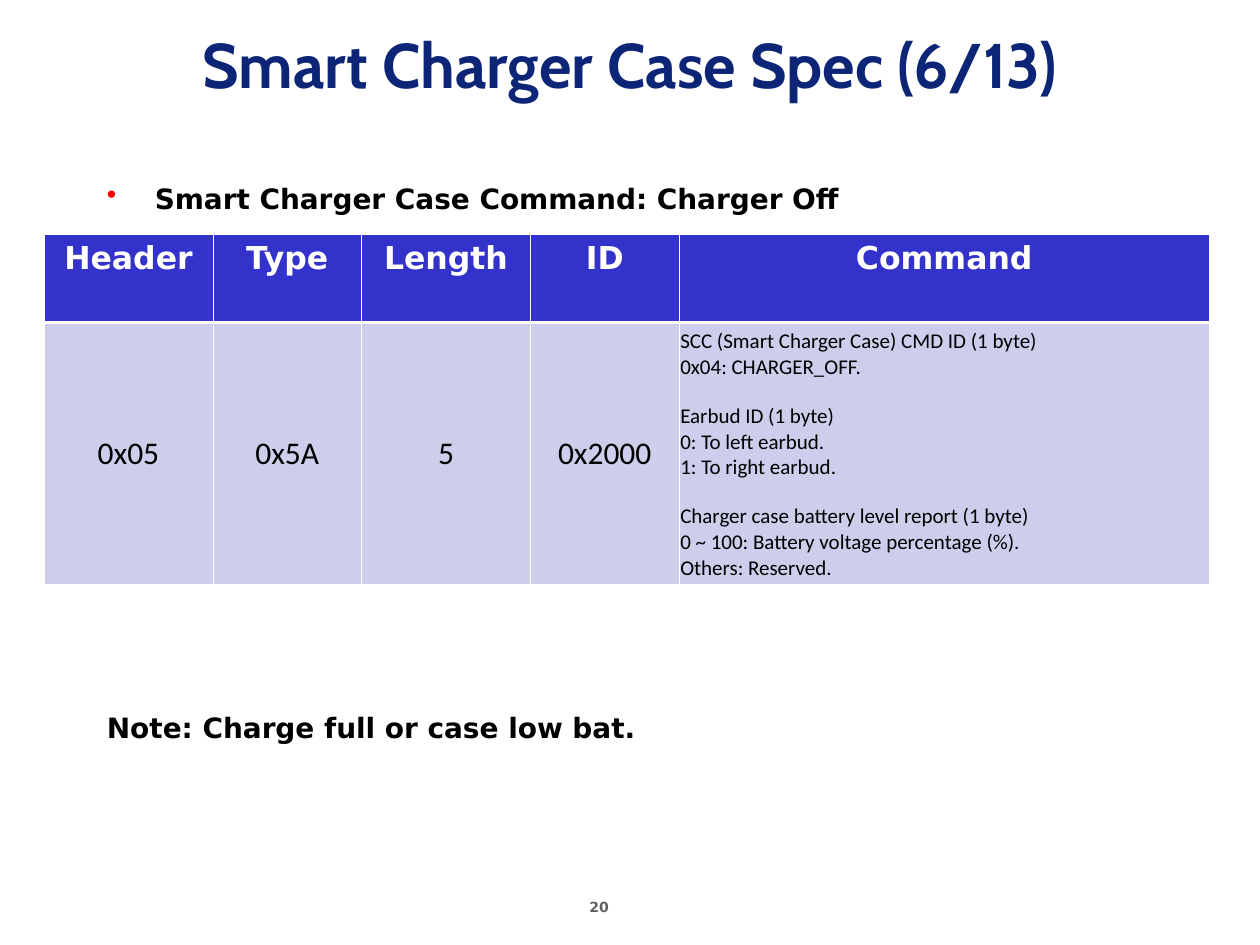
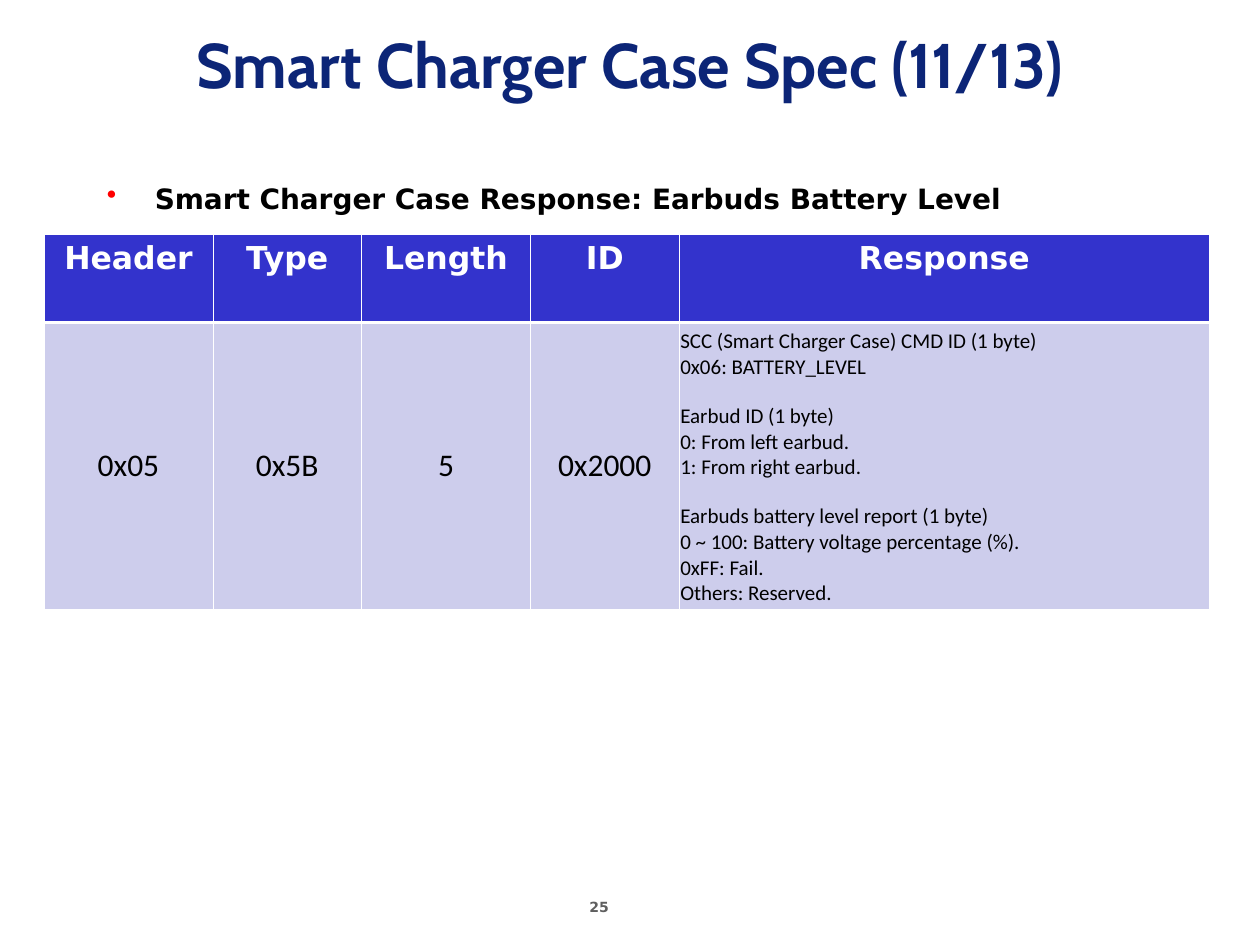
from lxml import etree
from pptx import Presentation
from pptx.dml.color import RGBColor
from pptx.enum.text import MSO_ANCHOR, MSO_AUTO_SIZE, PP_ALIGN
from pptx.oxml.ns import qn
from pptx.util import Inches, Pt

CENTER, LEFT = PP_ALIGN.CENTER, PP_ALIGN.LEFT
TOP, MIDDLE = MSO_ANCHOR.TOP, MSO_ANCHOR.MIDDLE
NO_AUTOFIT = MSO_AUTO_SIZE.NONE
TITLE_ONLY = 5

COLORS = {
    "title": "0C2577", "text": "000000", "bullet": "FF0000", "number": "5F5F5F",
    "header_fill": "3333CC", "body_fill": "CDCDEC", "white": "FFFFFF",
}
TITLE_FONT, HEADING_FONT, BODY_FONT = "Cabin", "DejaVu Sans", "Calibri"

TITLE_BOX = (0, 0, 10, 1)
CONTENT_BOX = (0.75, 1.39, 9.25, 5.17)
NUMBER_BOX = (4.58, 7.08, 0.77, 0.26)
TABLE_LEFT, TABLE_TOP = 0.35, 1.86
COLUMN_WIDTHS = (1.34, 1.18, 1.34, 1.18, 4.21)
HEADER_HEIGHT = 0.7
HEADING_INDENT = 0.38
NOTE_GAP = 283
GROUP_GAP = 13.5
THIN_LINE, THICK_LINE = 0.45, 1.47

SPECS = [
    {
        "title": "Smart Charger Case Spec (6/13)",
        "number": "20",
        "heading": "Smart Charger Case Command: Charger Off",
        "note": "Note: Charge full or case low bat.",
        "payload_name": "Command",
        "fields": ("0x05", "0x5A", "5", "0x2000"),
        "body_height": 2.01,
        "payload": [
            ("SCC (Smart Charger Case) CMD ID (1 byte)", "0x04: CHARGER_OFF."),
            ("Earbud ID (1 byte)", "0: To left earbud.", "1: To right earbud."),
            ("Charger case battery level report (1 byte)",
             "0 ~ 100: Battery voltage percentage (%).", "Others: Reserved."),
        ],
    },
    {
        "title": "Smart Charger Case Spec (11/13)",
        "number": "25",
        "heading": "Smart Charger Case Response: Earbuds Battery Level",
        "note": None,
        "payload_name": "Response",
        "fields": ("0x05", "0x5B", "5", "0x2000"),
        "body_height": 2.21,
        "payload": [
            ("SCC (Smart Charger Case) CMD ID (1 byte)", "0x06: BATTERY_LEVEL"),
            ("Earbud ID (1 byte)", "0: From left earbud.", "1: From right earbud."),
            ("Earbuds battery level report (1 byte)",
             "0 ~ 100: Battery voltage percentage (%).", "0xFF: Fail.",
             "Others: Reserved."),
        ],
    },
]


def format_paragraph(paragraph, font_name, size, color, bold=False, align=LEFT):
    paragraph.alignment = align
    font = paragraph.font
    for target in [font] + [run.font for run in paragraph.runs]:
        target.name = font_name
        target.size = Pt(size)
        target.bold = bold
        target.color.rgb = RGBColor.from_string(COLORS[color])


def add_bullet(paragraph):
    properties = paragraph._p.get_or_add_pPr()
    properties.set("marL", str(Inches(HEADING_INDENT)))
    properties.set("indent", str(-Inches(HEADING_INDENT)))
    bullet_color = etree.SubElement(properties, qn("a:buClr"))
    etree.SubElement(bullet_color, qn("a:srgbClr"), val=COLORS["bullet"])
    etree.SubElement(properties, qn("a:buChar"), char="•")


def set_borders(cell, top, bottom):
    """Draw white cell borders; top and bottom widths are in points."""
    properties = cell._tc.get_or_add_tcPr()
    widths = {"lnL": THIN_LINE, "lnR": THIN_LINE, "lnT": top, "lnB": bottom}
    for position, (tag, width) in enumerate(widths.items()):
        line = etree.Element(qn(f"a:{tag}"), w=str(Pt(width)))
        fill = etree.SubElement(line, qn("a:solidFill"))
        etree.SubElement(fill, qn("a:srgbClr"), val=COLORS["white"])
        properties.insert(position, line)


def add_title(slide, box, text):
    title = slide.shapes.title
    title.left, title.top, title.width, title.height = map(Inches, box)
    text_frame = title.text_frame
    text_frame.text = text
    text_frame.auto_size = NO_AUTOFIT
    text_frame.vertical_anchor = MIDDLE
    format_paragraph(text_frame.paragraphs[0], TITLE_FONT, 36, "title", True, CENTER)


def add_page_number(slide, box, number):
    text_frame = slide.shapes.add_textbox(*map(Inches, box)).text_frame
    text_frame.text = number
    format_paragraph(text_frame.paragraphs[0], HEADING_FONT, 8, "number", True)


def add_content(slide, box, heading, note):
    text_frame = slide.shapes.add_textbox(*map(Inches, box)).text_frame
    text_frame.word_wrap = True
    text_frame.text = heading
    add_bullet(text_frame.paragraphs[0])
    if note:
        paragraph = text_frame.add_paragraph()
        paragraph.text = note
        paragraph.space_before = Pt(NOTE_GAP)
    for paragraph in text_frame.paragraphs:
        format_paragraph(paragraph, HEADING_FONT, 16, "text", True)


def fill_cell(cell, fill, anchor):
    cell.fill.solid()
    cell.fill.fore_color.rgb = RGBColor.from_string(COLORS[fill])
    cell.vertical_anchor = anchor


def fill_header_cell(cell, text):
    fill_cell(cell, "header_fill", TOP)
    set_borders(cell, THIN_LINE, THICK_LINE)
    cell.text_frame.text = text
    format_paragraph(cell.text_frame.paragraphs[0], HEADING_FONT, 18, "white", True, CENTER)


def fill_body_cell(cell, groups, size, align):
    """Write groups of lines, with a gap above every group but the first."""
    fill_cell(cell, "body_fill", MIDDLE)
    set_borders(cell, THICK_LINE, THIN_LINE)
    cell.margin_left = cell.margin_right = Inches(0.01)
    text_frame = cell.text_frame
    text_frame.text = "\n".join(line for group in groups for line in group)
    paragraphs = iter(text_frame.paragraphs)
    for group_index, group in enumerate(groups):
        for line_index in range(len(group)):
            paragraph = next(paragraphs)
            format_paragraph(paragraph, BODY_FONT, size, "text", align=align)
            if group_index and line_index == 0:
                paragraph.space_before = Pt(GROUP_GAP)


def add_packet_table(slide, left, top, spec):
    height = HEADER_HEIGHT + spec["body_height"]
    frame = slide.shapes.add_table(
        2, len(COLUMN_WIDTHS), Inches(left), Inches(top),
        Inches(sum(COLUMN_WIDTHS)), Inches(height))
    table = frame.table
    for column, width in zip(table.columns, COLUMN_WIDTHS):
        column.width = Inches(width)
    table.rows[0].height = Inches(HEADER_HEIGHT)
    table.rows[1].height = Inches(spec["body_height"])

    headers = ("Header", "Type", "Length", "ID", spec["payload_name"])
    for index, header in enumerate(headers):
        fill_header_cell(table.cell(0, index), header)
    for index, value in enumerate(spec["fields"]):
        fill_body_cell(table.cell(1, index), [(value,)], 18, CENTER)
    fill_body_cell(table.cell(1, len(headers) - 1), spec["payload"], 12, LEFT)


def add_spec_slide(presentation, spec):
    slide = presentation.slides.add_slide(presentation.slide_layouts[TITLE_ONLY])
    add_page_number(slide, NUMBER_BOX, spec["number"])
    add_title(slide, TITLE_BOX, spec["title"])
    add_content(slide, CONTENT_BOX, spec["heading"], spec["note"])
    add_packet_table(slide, TABLE_LEFT, TABLE_TOP, spec)


def main():
    presentation = Presentation()
    presentation.slide_width = Inches(10)
    presentation.slide_height = Inches(7.5)
    for spec in SPECS:
        add_spec_slide(presentation, spec)
    presentation.save("out.pptx")


if __name__ == "__main__":
    main()
